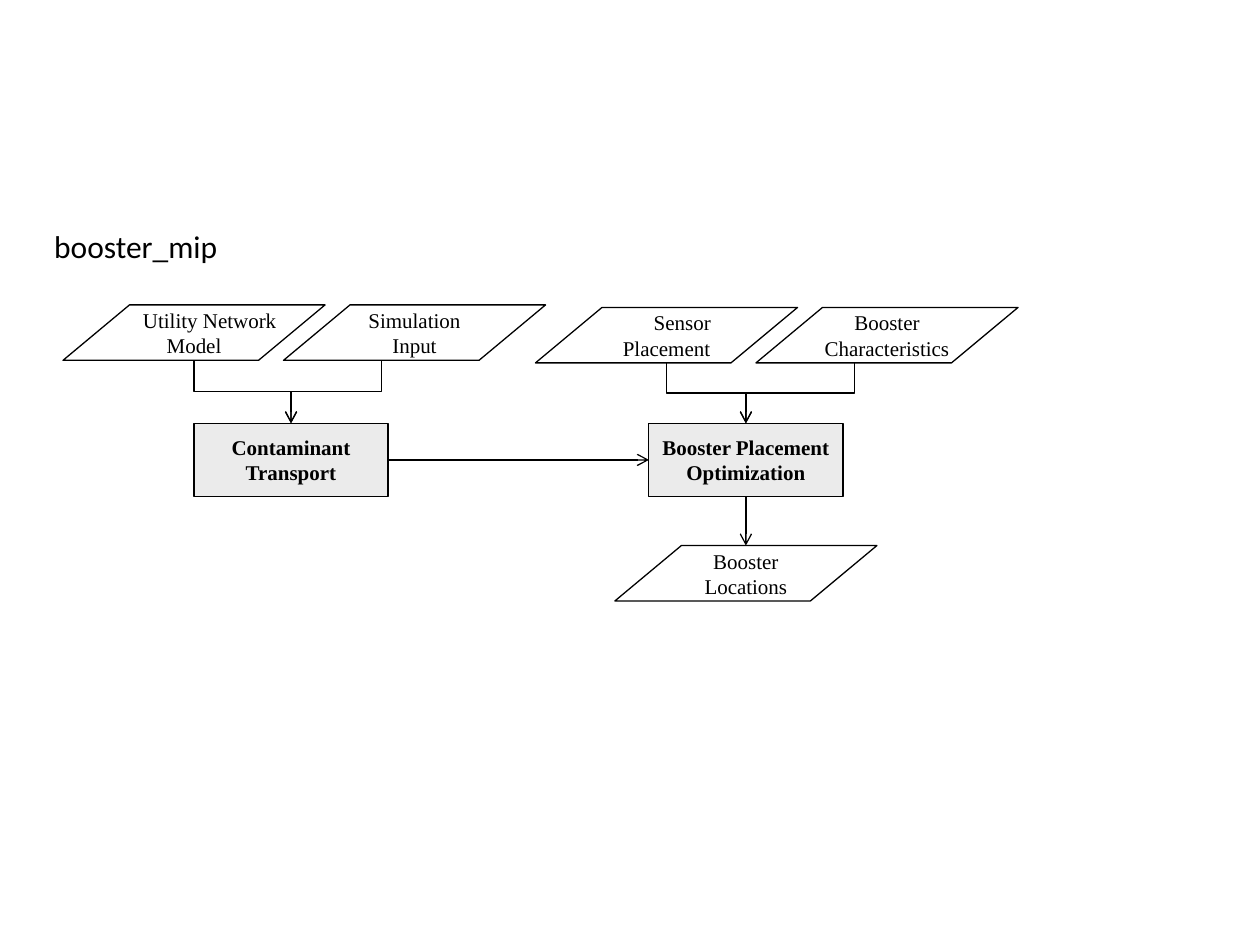
import pptx
import pptx.util
import pptx.dml.color
import pptx.enum.shapes
import pptx.enum.text
import pptx.oxml.ns
import lxml.etree

Inches = pptx.util.Inches
Pt = pptx.util.Pt
RGBColor = pptx.dml.color.RGBColor
KIND = pptx.enum.shapes.MSO_SHAPE
LINK = pptx.enum.shapes.MSO_CONNECTOR
ALIGN = pptx.enum.text.PP_ALIGN
FIT = pptx.enum.text.MSO_AUTO_SIZE
MID = pptx.enum.text.MSO_ANCHOR.MIDDLE
qn = pptx.oxml.ns.qn

BLACK = RGBColor(0, 0, 0)
WHITE = RGBColor(255, 255, 255)
GRAY = RGBColor(0xD9, 0xD9, 0xD9)


def add_node(kind, left, top, width, height, lines, color, alpha, bold, indent):
    node = slide.shapes.add_shape(
        kind, Inches(left), Inches(top), Inches(width), Inches(height))
    node.shadow.inherit = False
    node.fill.solid()
    node.fill.fore_color.rgb = color
    tint = node.fill._xPr.find(qn("a:solidFill"))[0]
    lxml.etree.SubElement(tint, qn("a:alpha"), val=str(alpha * 1000))
    node.line.color.rgb = BLACK
    node.line.width = Pt(0.75)
    frame = node.text_frame
    frame.word_wrap = False
    frame.vertical_anchor = MID
    for i, line in enumerate(lines):
        para = frame.paragraphs[0] if i == 0 else frame.add_paragraph()
        para.alignment = ALIGN.CENTER
        if i == 0 and indent:
            para._p.get_or_add_pPr().set("marL", str(Pt(indent)))
        run = para.add_run()
        run.text = line
        run.font.name = "Times New Roman"
        run.font.size = Pt(12)
        run.font.bold = bold
        run.font.color.rgb = BLACK
    return node


def add_arrow(kind, x1, y1, x2, y2):
    arrow = slide.shapes.add_connector(
        kind, Inches(x1), Inches(y1), Inches(x2), Inches(y2))
    arrow.line.color.rgb = BLACK
    arrow.line.width = Pt(0.75)
    lxml.etree.SubElement(arrow.line._get_or_add_ln(), qn("a:tailEnd"), type="arrow")
    props = arrow._element.spPr
    lxml.etree.SubElement(props, qn("a:effectLst"))
    if kind == LINK.ELBOW:
        wide, high = y2 - y1, abs(x2 - x1)
        arrow.left = Inches((x1 + x2 - wide) / 2)
        arrow.top = Inches((y1 + y2 - high) / 2)
        arrow.width, arrow.height = Inches(wide), Inches(high)
        frame = props.find(qn("a:xfrm"))
        frame.attrib.pop("flipH", None)
        frame.set("rot", "5400000")
        if x2 > x1:
            frame.set("rot", "16200000")
            frame.set("flipH", "1")
    return arrow


deck = pptx.Presentation()
deck.slide_width = Inches(10)
deck.slide_height = Inches(7.5)
slide = deck.slides.add_slide(deck.slide_layouts[5])

title = slide.shapes.title
title.left, title.top = Inches(0.33), Inches(1.75)
title.width, title.height = Inches(1.51), Inches(0.4)
title.text_frame.word_wrap = False
title.text_frame.auto_size = FIT.SHAPE_TO_FIT_TEXT
para = title.text_frame.paragraphs[0]
para.alignment = ALIGN.LEFT
run = para.add_run()
run.text = "booster_mip"
run.font.name = "Calibri"
run.font.size = Pt(18)
run.font.color.rgb = BLACK

steps = []
for left, lines in [
    (1.54, ["Contaminant", "Transport"]),
    (5.15, ["Booster Placement", "Optimization"]),
]:
    steps.append(add_node(KIND.RECTANGLE, left, 3.36, 1.54, 0.58, lines, GRAY, 50, True, 0))

for left, top, lines, indent in [
    (0.5, 2.42, ["Utility Network", "Model"], 18),
    (2.25, 2.42, ["Simulation", "Input"], 0),
    (4.25, 2.44, ["Sensor", "Placement"], 18),
    (6, 2.44, ["Booster", "Characteristics"], 0),
    (4.88, 4.33, ["Booster", "Locations"], 0),
]:
    data = add_node(KIND.PARALLELOGRAM, left, top, 2.08, 0.44, lines, WHITE, 25, False, indent)
    data.adjustments[0] = 1.2

for x1, y1, x2 in [(1.54, 2.86, 2.31), (3.03, 2.86, 2.31),
                   (5.29, 2.88, 5.92), (6.78, 2.88, 5.92)]:
    add_arrow(LINK.ELBOW, x1, y1, x2, 3.36)

down = add_arrow(LINK.STRAIGHT, 5.92, 3.94, 5.92, 4.33)
down.begin_connect(steps[1], 2)
across = add_arrow(LINK.STRAIGHT, 3.08, 3.65, 5.15, 3.65)
across.begin_connect(steps[0], 3)
across.end_connect(steps[1], 1)

deck.save("out.pptx")
